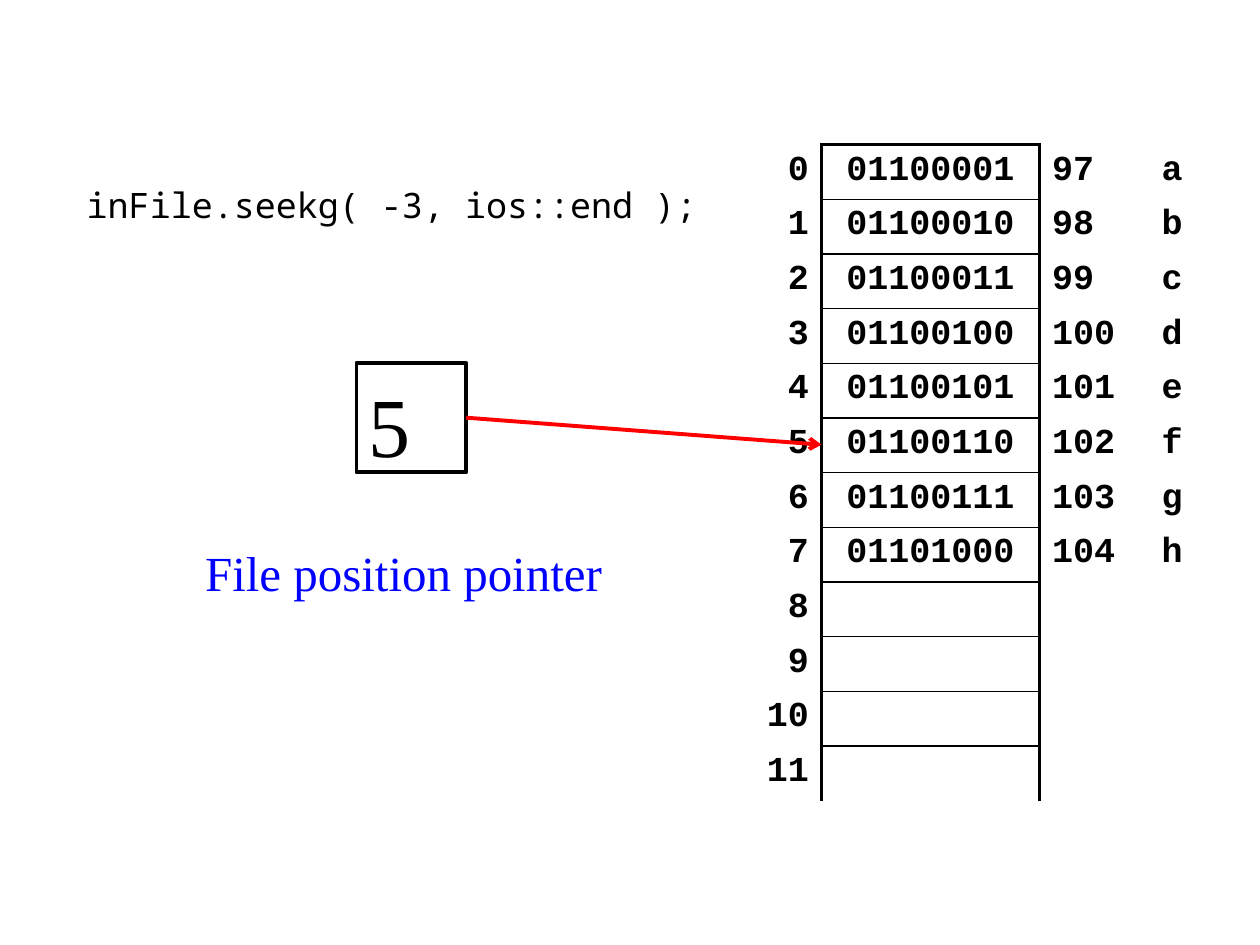
import pptx
import pptx.util
import pptx.dml.color
import pptx.enum.shapes
import pptx.enum.text
import pptx.oxml
import pptx.oxml.ns
import lxml.etree

RGBColor = pptx.dml.color.RGBColor
BLACK = RGBColor(0x00, 0x00, 0x00)
BLUE = RGBColor(0x00, 0x00, 0xFF)
RED = RGBColor(0xFF, 0x00, 0x00)

ALIGN = pptx.enum.text.PP_ALIGN
MIDDLE = pptx.enum.text.MSO_ANCHOR.MIDDLE
THICK, THIN = 2.25, 1

CODE = {"name": "Noto Sans Mono", "size": 20}
CAPTION = {"name": "Times New Roman", "size": 28, "color": BLUE}
POINTER = {"name": "Times New Roman", "size": 48}
CELL = {"name": "Courier New", "size": 20, "bold": True}

# File contents
BYTES = "abcdefgh"
ROWS = 12
POSITION = 5
COLUMNS = (0.065, 0.173, 0.087, 0.043)
COLUMN_ALIGN = (ALIGN.RIGHT, ALIGN.CENTER, ALIGN.LEFT, ALIGN.LEFT)
TABLE_X, TABLE_Y, TABLE_H = 0.587, 0.153, 0.693


class Deck:
    """Holds the style and the current slide; lengths are shares of its size."""

    def __init__(self):
        self.prs = pptx.Presentation()
        self.prs.slide_width = pptx.util.Inches(10)
        self.prs.slide_height = pptx.util.Inches(7.5)
        self.slide = self.prs.slides.add_slide(self.prs.slide_layouts[6])

    def x(self, share):
        return pptx.util.Emu(round(share * self.prs.slide_width))

    def y(self, share):
        return pptx.util.Emu(round(share * self.prs.slide_height))

    def box(self, x, y, w, h):
        return self.x(x), self.y(y), self.x(w), self.y(h)

    def put_text(self, tf, text, style, align=ALIGN.LEFT):
        p = tf.paragraphs[0]
        p.alignment = align
        r = p.add_run()
        r.text = text
        r.font.color.rgb = style.get("color", BLACK)
        for key, value in style.items():
            if key != "color":
                setattr(r.font, key, pptx.util.Pt(value) if key == "size" else value)

    def text(self, box, text, style):
        tf = self.slide.shapes.add_textbox(*self.box(*box)).text_frame
        tf.word_wrap = True
        tf.vertical_anchor = MIDDLE
        self.put_text(tf, text, style)

    def rect(self, box, text, style):
        sp = self.slide.shapes.add_shape(
            pptx.enum.shapes.MSO_SHAPE.RECTANGLE, *self.box(*box))
        sp.shadow.inherit = False
        sp.fill.background()
        sp.line.color.rgb = BLACK
        sp.line.width = pptx.util.Pt(THICK)
        tf = sp.text_frame
        tf.vertical_anchor = MIDDLE
        tf.margin_top, tf.margin_bottom = pptx.util.Inches(0.1), 0
        self.put_text(tf, text, style)
        return sp

    def arrow(self, start, side, x, y):
        line = self.slide.shapes.add_connector(
            pptx.enum.shapes.MSO_CONNECTOR.STRAIGHT, 0, 0, self.x(x), self.y(y))
        line.begin_connect(start, side)
        line.line.color.rgb = RED
        line.line.width = pptx.util.Pt(THICK)
        ns = pptx.oxml.ns.qn
        ln = line.line._get_or_add_ln()
        lxml.etree.SubElement(ln, ns("a:tailEnd"), type="arrow")
        lxml.etree.SubElement(line._element.spPr, ns("a:effectLst"))

    def borders(self, cell, widths):
        ns = pptx.oxml.ns.qn
        tcPr = cell._tc.get_or_add_tcPr()
        for i, side in enumerate("LRTB"):
            width = widths.get(side, 0)
            ln = lxml.etree.Element(ns("a:ln" + side), w=str(int(pptx.util.Pt(width))))
            fill = lxml.etree.SubElement(
                ln, ns("a:solidFill" if width else "a:noFill"))
            if width:
                lxml.etree.SubElement(fill, ns("a:srgbClr"), val=str(BLACK))
            tcPr.insert(i, ln)

    def table(self, x, y, h, columns, rows, aligns, style, rule):
        table = self.slide.shapes.add_table(
            len(rows), len(columns), *self.box(x, y, sum(columns), h)).table
        table.first_row = table.horz_banding = False
        for column, share in zip(table.columns, columns):
            column.width = self.x(share)
        for i, values in enumerate(rows):
            table.rows[i].height = self.y(h / len(rows))
            for j, value in enumerate(values):
                cell = table.cell(i, j)
                cell.fill.background()
                self.borders(cell, rule(i, j))
                if value:
                    self.put_text(cell.text_frame, value, style, aligns[j])


def file_rule(i, j):
    """Border widths: thick frame around the bytes, open at the bottom."""
    if j == 1:
        return {"L": THICK, "R": THICK, "T": THIN if i else THICK,
                "B": THIN if i < ROWS - 1 else 0}
    return {0: {"R": THICK}, 2: {"L": THICK}}.get(j, {})


def file_row(i):
    """Offset, then the byte in binary, in decimal and as a character."""
    if i >= len(BYTES):
        return str(i), "", "", ""
    code = ord(BYTES[i])
    return str(i), f"{code:08b}", str(code), BYTES[i]


def main():
    deck = Deck()

    # Statement and caption
    deck.text((0.059, 0.185, 0.52, 0.063), "inFile.seekg( -3, ios::end );", CODE)
    deck.text((0.153, 0.563, 0.347, 0.084), "File position pointer", CAPTION)

    # File bytes
    deck.table(TABLE_X, TABLE_Y, TABLE_H, COLUMNS,
               [file_row(i) for i in range(ROWS)], COLUMN_ALIGN, CELL, file_rule)

    # Pointer box and its arrow to the current byte
    pointer = deck.rect((0.283, 0.384, 0.087, 0.116), str(POSITION), POINTER)
    deck.arrow(pointer, 3, TABLE_X + COLUMNS[0],
               TABLE_Y + (POSITION + 0.5) * TABLE_H / ROWS)

    deck.prs.save("out.pptx")


if __name__ == "__main__":
    main()
